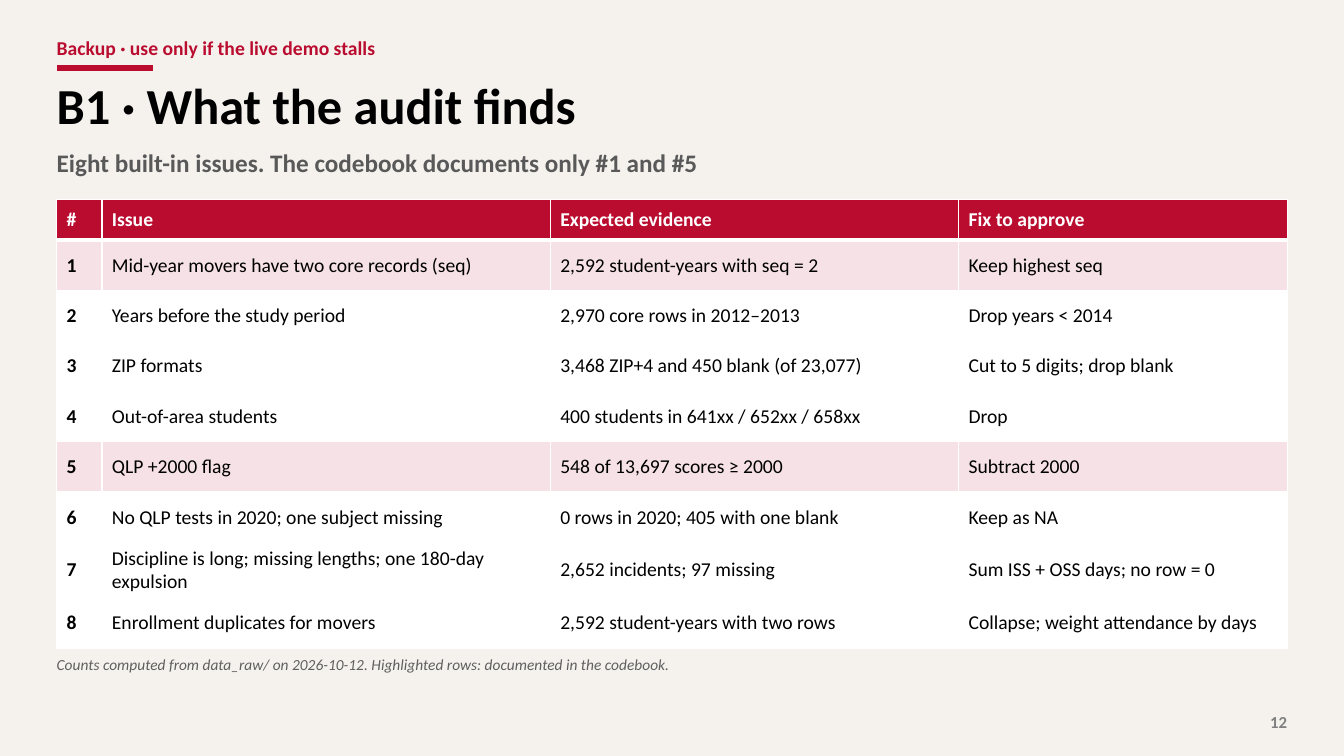
from lxml import etree
from pptx import Presentation
from pptx import util as u
from pptx.dml.color import RGBColor
from pptx.enum import shapes, text
from pptx.oxml.ns import qn

Cm = u.Cm
FONT = "Calibri"
HUES = {
    "page": "F5F2EE", "red": "BA0C2F", "pink": "F6E2E6", "white": "FFFFFF",
    "black": "000000", "gray": "595959", "note": "5F5F5F", "num": "808080",
}
LEFT, WIDE = 1.43, 31.01
COLS = (1.14, 11.3, 10.29, 8.28)
HEAD_H, ROW_H = 1.02, 1.27
MARKED = {1, 5}
HEADS = ("#", "Issue", "Expected evidence", "Fix to approve")
ISSUES = (
    ("Mid-year movers have two core records (seq)",
     "2,592 student-years with seq = 2", "Keep highest seq"),
    ("Years before the study period",
     "2,970 core rows in 2012–2013", "Drop years < 2014"),
    ("ZIP formats",
     "3,468 ZIP+4 and 450 blank (of 23,077)", "Cut to 5 digits; drop blank"),
    ("Out-of-area students",
     "400 students in 641xx / 652xx / 658xx", "Drop"),
    ("QLP +2000 flag",
     "548 of 13,697 scores ≥ 2000", "Subtract 2000"),
    ("No QLP tests in 2020; one subject missing",
     "0 rows in 2020; 405 with one blank", "Keep as NA"),
    ("Discipline is long; missing lengths; one 180-day expulsion",
     "2,652 incidents; 97 missing", "Sum ISS + OSS days; no row = 0"),
    ("Enrollment duplicates for movers",
     "2,592 student-years with two rows", "Collapse; weight attendance by days"),
)


def hue(name):
    """Return the named colour."""
    return RGBColor.from_string(HUES[name])


def write(frame, words, size=14, color="black", bold=False, slant=False,
          align=text.PP_ALIGN.LEFT, space=1.0):
    """Write one formatted paragraph into a text frame."""
    para = frame.paragraphs[0]
    para.alignment = align
    para.line_spacing = space
    run = para.add_run()
    run.text = words
    font = run.font
    font.name, font.size = FONT, u.Pt(size)
    font.bold, font.italic = bold, slant
    font.color.rgb = hue(color)


def label(slide, box, words, pads=(0, 0.13, 0.25, 0.13),
          anchor=text.MSO_ANCHOR.TOP, **form):
    """Place a text box with the given padding and format."""
    frame = slide.shapes.add_textbox(*map(Cm, box)).text_frame
    frame.word_wrap = True
    frame.vertical_anchor = anchor
    (frame.margin_left, frame.margin_top,
     frame.margin_right, frame.margin_bottom) = map(Cm, pads)
    write(frame, words, **form)


def header(slide, left, top, wide):
    """Place the kicker, rule, title and subtitle."""
    label(slide, (left, top, 23.98, 0.86),
          "Backup · use only if the live demo stalls",
          color="red", bold=True, space=0.9)
    y = Cm(top + 0.88)
    rule = slide.shapes.add_connector(
        shapes.MSO_CONNECTOR.STRAIGHT, Cm(left), y, Cm(left + 2.42), y)
    rule.line.color.rgb = hue("red")
    rule.line.width = u.Pt(4.5)
    etree.SubElement(rule._element.spPr, qn("a:effectLst"))
    label(slide, (left, top + 1.12, wide, 1.7), "B1 · What the audit finds",
          size=36, bold=True, space=0.85)
    label(slide, (left, top + 2.84, wide, 1.14),
          "Eight built-in issues. The codebook documents only #1 and #5",
          size=18, color="gray", bold=True, space=0.9)


def edge(cell, points):
    """Draw a white line below a cell."""
    line = etree.Element(qn("a:lnB"), w=str(u.Pt(points)))
    fill = etree.SubElement(line, qn("a:solidFill"))
    etree.SubElement(fill, qn("a:srgbClr"), val=HUES["white"])
    cell._tc.get_or_add_tcPr().insert(0, line)


def audit(slide, left, top, wide):
    """Place the issue table, with documented rows highlighted."""
    rows = [HEADS] + [(str(n), *row) for n, row in enumerate(ISSUES, 1)]
    high = HEAD_H + ROW_H * len(ISSUES)
    grid = slide.shapes.add_table(
        len(rows), len(COLS), *map(Cm, (left, top, wide, high))).table
    grid.horz_banding = False
    for col, size in zip(grid.columns, COLS):
        col.width = Cm(size)
    for r, row in enumerate(rows):
        grid.rows[r].height = Cm(ROW_H if r else HEAD_H)
        fill = "red" if r == 0 else "pink" if r in MARKED else "white"
        for c, words in enumerate(row):
            cell = grid.cell(r, c)
            cell.fill.solid()
            cell.fill.fore_color.rgb = hue(fill)
            cell.vertical_anchor = text.MSO_ANCHOR.MIDDLE
            cell.margin_left = cell.margin_right = Cm(0.25)
            cell.margin_top = cell.margin_bottom = Cm(0.1)
            write(cell.text_frame, words, bold=r == 0 or c == 0,
                  color="black" if r else "white")
            if r == 0:
                edge(cell, 3)


def footer(slide, left, top, wide):
    """Place the source note and the page number."""
    label(slide, (left, top, wide, 0.76),
          "Counts computed from data_raw/ on 2026-10-12. "
          "Highlighted rows: documented in the codebook.",
          pads=(0, 0, 0, 0), anchor=text.MSO_ANCHOR.BOTTOM,
          size=11, color="note", slant=True)
    label(slide, (left + wide - 0.71, top + 1.47, 0.71, 1.02), "12",
          pads=(0, 0.13, 0, 0.13), anchor=text.MSO_ANCHOR.MIDDLE,
          size=12, color="num", bold=True, align=text.PP_ALIGN.RIGHT)


def main():
    """Build and save the slide."""
    deck = Presentation()
    deck.slide_width, deck.slide_height = Cm(33.87), Cm(19.05)
    slide = deck.slides.add_slide(deck.slide_layouts[6])
    slide.background.fill.solid()
    slide.background.fill.fore_color.rgb = hue("page")
    header(slide, LEFT, 0.84, WIDE)
    audit(slide, LEFT, 5.03, WIDE)
    footer(slide, LEFT, 16.21, WIDE)
    deck.save("out.pptx")


if __name__ == "__main__":
    main()
